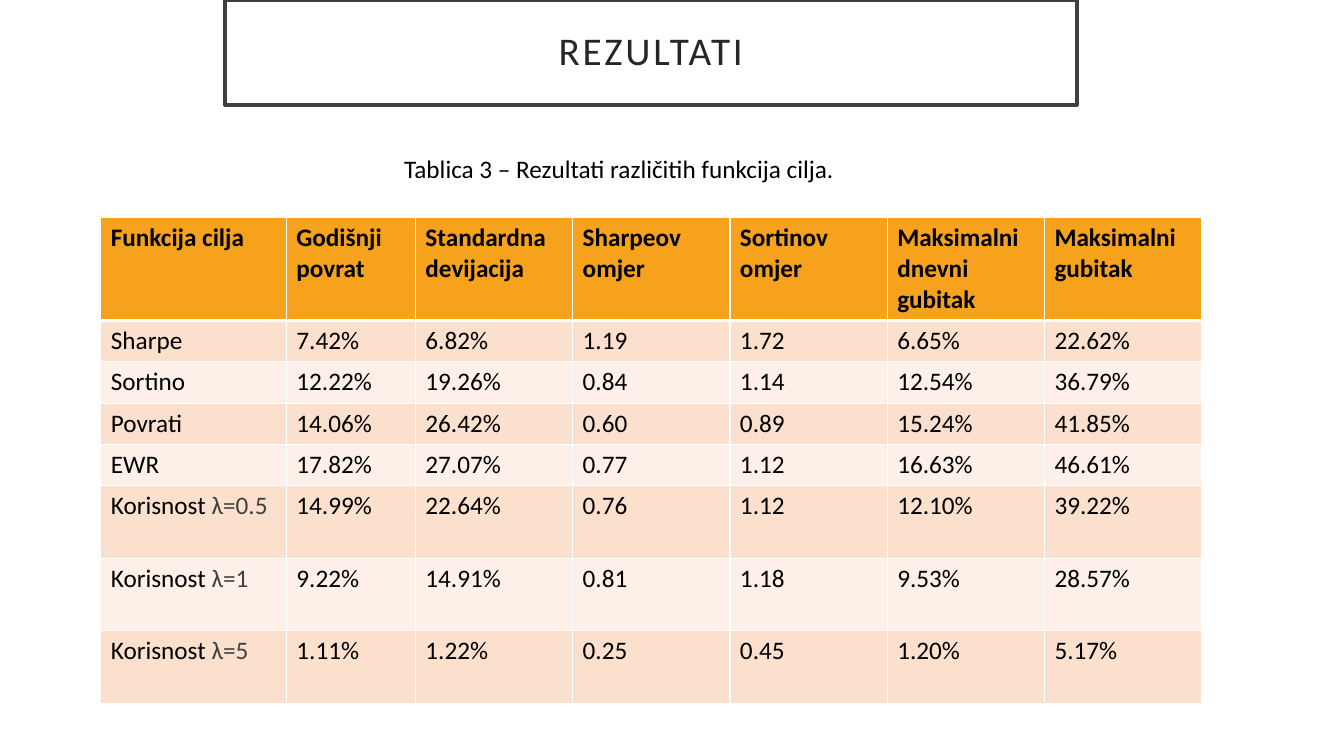
"""Build the results slide comparing objective functions."""
import dataclasses

import lxml.etree
import pptx
import pptx.dml.color
import pptx.enum.text
import pptx.oxml.ns
import pptx.util

PX = 9144


@dataclasses.dataclass(frozen=True)
class Theme:
    """Colours, font and type sizes of the slide."""
    font: str = "Calibri"
    title_size: int = 28
    body_size: int = 18
    title: str = "262626"
    text: str = "000000"
    parameter: str = "404040"
    frame: str = "404040"
    white: str = "FFFFFF"
    header: str = "F6A21D"
    bands: tuple = ("FBE0CD", "FDF0E8")


THEME = Theme()
COLUMN_WIDTHS = [184, 128] + [156] * 5
ROW_HEIGHTS = [102] + [41] * 4 + [72] * 3
RESULTS = [
    ["Funkcija cilja", "Godišnji povrat", "Standardna devijacija", "Sharpeov omjer",
     "Sortinov omjer", "Maksimalni dnevni gubitak", "Maksimalni gubitak"],
    ["Sharpe", "7.42%", "6.82%", "1.19", "1.72", "6.65%", "22.62%"],
    ["Sortino", "12.22%", "19.26%", "0.84", "1.14", "12.54%", "36.79%"],
    ["Povrati", "14.06%", "26.42%", "0.60", "0.89", "15.24%", "41.85%"],
    ["EWR", "17.82%", "27.07%", "0.77", "1.12", "16.63%", "46.61%"],
    ["Korisnost λ=0.5", "14.99%", "22.64%", "0.76", "1.12", "12.10%", "39.22%"],
    ["Korisnost λ=1", "9.22%", "14.91%", "0.81", "1.18", "9.53%", "28.57%"],
    ["Korisnost λ=5", "1.11%", "1.22%", "0.25", "0.45", "1.20%", "5.17%"],
]


def px(*lengths):
    """Turn pixel lengths into a list of EMU."""
    return [pptx.util.Emu(n * PX) for n in lengths]


def rgb(color):
    """Return the colour object of a hex string."""
    return pptx.dml.color.RGBColor.from_string(color)


def style_run(r, size, color, bold=False):
    """Set the font, size, colour and weight of a run."""
    r.font.name = THEME.font
    r.font.size = pptx.util.Pt(size)
    r.font.color.rgb = rgb(color)
    r.font.bold = bold


def set_title(s, text, box):
    """Place the framed title."""
    sp = s.shapes.title
    sp.left, sp.top, sp.width, sp.height = px(*box)
    sp.fill.solid()
    sp.fill.fore_color.rgb = rgb(THEME.white)
    sp.line.color.rgb = rgb(THEME.frame)
    sp.line.width = pptx.util.Pt(2.5)
    tf = sp.text_frame
    tf.text = text
    tf.vertical_anchor = pptx.enum.text.MSO_ANCHOR.MIDDLE
    tf.margin_left, tf.margin_top, tf.margin_right, tf.margin_bottom = px(20, 20, 20, 20)
    p = tf.paragraphs[0]
    p.alignment = pptx.enum.text.PP_ALIGN.CENTER
    p.line_spacing = 0.9
    r = p.runs[0]
    style_run(r, THEME.title_size, THEME.title)
    r.font._element.set("spc", "200")


def add_caption(s, text, box):
    """Add the table caption."""
    tf = s.shapes.add_textbox(*px(*box)).text_frame
    tf.word_wrap = True
    tf.text = text
    style_run(tf.paragraphs[0].runs[0], THEME.body_size, THEME.text)


def set_borders(cell, top, bottom):
    """Draw white cell borders with the given top and bottom widths in points."""
    tc_pr = cell._tc.get_or_add_tcPr()
    for side, width in zip("LRTB", (1, 1, top, bottom)):
        ln = lxml.etree.SubElement(tc_pr, pptx.oxml.ns.qn(f"a:ln{side}"),
                                   w=str(pptx.util.Pt(width)))
        fill = lxml.etree.SubElement(ln, pptx.oxml.ns.qn("a:solidFill"))
        lxml.etree.SubElement(fill, pptx.oxml.ns.qn("a:srgbClr"), val=THEME.white)


def fill_cell(cell, text, row):
    """Write and format one cell, with its λ parameter in grey."""
    set_borders(cell, 3 if row == 1 else 1, 3 if row == 0 else 1)
    cell.fill.solid()
    cell.fill.fore_color.rgb = rgb(THEME.bands[(row - 1) % 2] if row else THEME.header)
    label, sign, value = text.partition("λ")
    p = cell.text_frame.paragraphs[0]
    for part, color in ((label, THEME.text), (sign + value, THEME.parameter)):
        if part:
            r = p.add_run()
            r.text = part
            style_run(r, THEME.body_size, color, bold=row == 0)


def add_results(s, rows, left, top):
    """Add the results table."""
    box = px(left, top, sum(COLUMN_WIDTHS), sum(ROW_HEIGHTS))
    table = s.shapes.add_table(len(rows), len(COLUMN_WIDTHS), *box).table
    for column, width in zip(table.columns, px(*COLUMN_WIDTHS)):
        column.width = width
    for i, height in enumerate(px(*ROW_HEIGHTS)):
        table.rows[i].height = height
        for j, text in enumerate(rows[i]):
            fill_cell(table.cell(i, j), text, i)


def main():
    """Build and save the slide."""
    prs = pptx.Presentation()
    prs.slide_width, prs.slide_height = px(1333, 750)
    s = prs.slides.add_slide(prs.slide_layouts[5])
    set_title(s, "REZULTATI", (223, 0, 845, 104))
    add_results(s, RESULTS, 100, 216)
    add_caption(s, "Tablica 3 – Rezultati različitih funkcija cilja.", (391, 147, 525, 40))
    prs.save("out.pptx")


if __name__ == "__main__":
    main()
